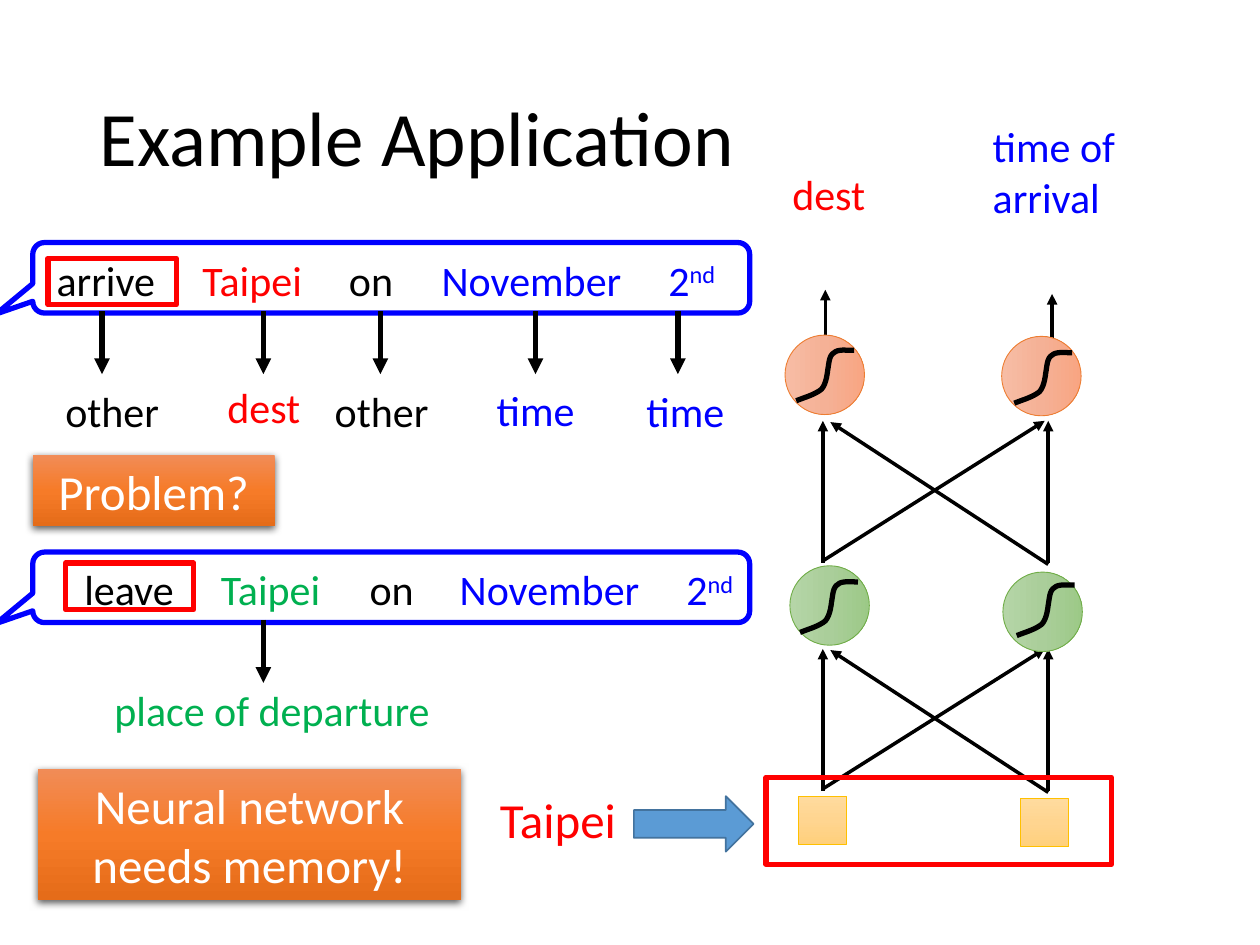
from copy import deepcopy

from lxml.etree import SubElement
from pptx import Presentation
from pptx.dml.color import RGBColor
from pptx.enum.shapes import MSO_CONNECTOR as Connector, MSO_SHAPE as Shape
from pptx.enum.text import MSO_ANCHOR as Anchor, MSO_AUTO_SIZE as AutoSize, PP_ALIGN as Align
from pptx.oxml.ns import qn
from pptx.util import Pt

FONT = "Calibri"
BLACK, WHITE, RED, BLUE, GREEN = "000000", "FFFFFF", "FF0000", "0000FF", "00B050"
ORANGE_BOX = ("F18C57", "F67B28", "E56C19")
INPUT_FILL = ("FFDB9E", "FFD590", "FFD07C")
HIDDEN_FILL = ("B5D5A7", "AACE9A", "9CC987")
OUTPUT_FILL = ("F7BDA5", "F5B196", "F8A582")
SIGMOID_START = (0, 28.8)
SIGMOID_CURVES = [
    ((5.8, 26.6), (10.8, 25.2), (14.4, 22.3)),
    ((17.3, 19.4), (18, 11.5), (18, 11.5)),
    ((18.7, 7.9), (18.7, 2.9), (21.6, 1.4)),
    ((23.8, -0.7), (28.1, 0), (33.1, 0)),
]


def rgb(color):
    return RGBColor.from_string(color)


def add_span(para, text, color=BLACK, size=24, raised=False):
    span = para.add_run()
    span.text = text
    span.font.name, span.font.size = FONT, Pt(size)
    span.font.color.rgb = rgb(color)
    if raised:
        span.font._element.set("baseline", "30000")


def add_text(slide, text, left, top, width, height, color=BLACK, size=24,
             align=Align.LEFT, wrap=True):
    box = slide.shapes.add_textbox(Pt(left), Pt(top), Pt(width), Pt(height))
    frame = box.text_frame
    frame.word_wrap = wrap
    frame.auto_size = AutoSize.SHAPE_TO_FIT_TEXT
    for index, line in enumerate(text.split("\n")):
        para = frame.paragraphs[0] if index == 0 else frame.add_paragraph()
        para.alignment = align
        if line:
            add_span(para, line, color, size)
    return box


def set_gradient(shape, colors):
    """Fill with three evenly spaced stops running from top to bottom."""
    shape.fill.gradient()
    shape.fill.gradient_angle = 270
    stop_list = shape._element.spPr.find(qn("a:gradFill")).find(qn("a:gsLst"))
    stop_list.append(deepcopy(stop_list[-1]))
    for stop, color, position in zip(shape.fill.gradient_stops, colors, (0, 0.5, 1)):
        stop.color.rgb = rgb(color)
        stop.position = position


def add_shape(slide, kind, left, top, width, height, fill=None, line=None, line_width=3):
    """Add a preset shape; fill is one colour, three gradient colours or None."""
    shape = slide.shapes.add_shape(kind, Pt(left), Pt(top), Pt(width), Pt(height))
    shape.shadow.inherit = False
    if fill is None:
        shape.fill.background()
    elif isinstance(fill, str):
        shape.fill.solid()
        shape.fill.fore_color.rgb = rgb(fill)
    else:
        set_gradient(shape, fill)
    if line:
        shape.line.color.rgb = rgb(line)
        shape.line.width = Pt(line_width)
    else:
        shape.line.fill.background()
    return shape


def add_banner(slide, text, left, top, width, height):
    """Add an orange box with a soft shadow and large white text."""
    box = add_shape(slide, Shape.RECTANGLE, left, top, width, height, ORANGE_BOX)
    effects = box._element.spPr.find(qn("a:effectLst"))
    shadow = SubElement(effects, qn("a:outerShdw"), blurRad=str(Pt(4.5)),
                        dist=str(Pt(1.5)), dir="5400000", rotWithShape="0")
    shade = SubElement(shadow, qn("a:srgbClr"), val=BLACK)
    SubElement(shade, qn("a:alpha"), val="63000")
    box.text_frame.word_wrap = True
    para = box.text_frame.paragraphs[0]
    para.alignment = Align.CENTER
    add_span(para, text, WHITE, 28)


def add_arrow(slide, x1, y1, x2, y2, width=2):
    arrow = slide.shapes.add_connector(Connector.STRAIGHT, Pt(x1), Pt(y1), Pt(x2), Pt(y2))
    arrow.line.color.rgb = rgb(BLACK)
    arrow.line.width = Pt(width)
    SubElement(arrow.line._get_or_add_ln(), qn("a:tailEnd"), type="triangle")
    SubElement(arrow._element.spPr, qn("a:effectLst"))


def sigmoid_points(steps=8):
    """Sample the chained Bezier curves of the activation symbol."""
    start = SIGMOID_START
    for first, second, end in SIGMOID_CURVES:
        for step in range(1, steps + 1):
            t = step / steps
            weights = ((1 - t) ** 3, 3 * t * (1 - t) ** 2, 3 * t * t * (1 - t), t ** 3)
            controls = (start, first, second, end)
            yield tuple(sum(w * c[axis] for w, c in zip(weights, controls)) for axis in (0, 1))
        start = end


def add_neuron(slide, left, top, fill, line, curve_left, curve_top):
    circle = add_shape(slide, Shape.OVAL, left, top, 45.4, 45.4, fill, line, 0.5)
    circle.rotation = 270
    x, y = SIGMOID_START
    builder = slide.shapes.build_freeform(Pt(curve_left + x), Pt(curve_top + y))
    builder.add_line_segments(
        [(Pt(curve_left + x), Pt(curve_top + y)) for x, y in sigmoid_points()], close=False)
    curve = builder.convert_to_shape()
    curve.shadow.inherit = False
    curve.fill.background()
    curve.line.color.rgb = rgb(BLACK)
    curve.line.width = Pt(3)


def add_weights(slide, top):
    """Connect two units to the two units above them."""
    left, right = 470.2, 599
    add_arrow(slide, right, top + 82, 474.5, top + 0.7)
    add_arrow(slide, left, top + 80, 597, top)
    for x in (left, right):
        add_arrow(slide, x, top + 81, x, top)


def add_sentence(slide, left, top, verb, city_color, tab_stops):
    """Add the words of a sentence, spaced by tab stops, inside a callout."""
    box = add_text(slide, "", left, top, 440, 36)
    box.text_frame.margin_left = Pt(43.2)
    para = box.text_frame.paragraphs[0]
    tabs = SubElement(para._p.get_or_add_pPr(), qn("a:tabLst"))
    for position in tab_stops:
        SubElement(tabs, qn("a:tab"), pos=str(Pt(position)), algn="l")
    add_span(para, verb + "\t")
    add_span(para, "Taipei\t", city_color)
    add_span(para, "on\t")
    add_span(para, "November\t2", BLUE)
    add_span(para, "nd", BLUE, raised=True)
    callout = add_shape(slide, Shape.ROUNDED_RECTANGULAR_CALLOUT,
                        18.7, top - 3.2, 409.7, 40.3, line=BLUE)
    for index, value in enumerate((-0.551, 0.512, 0.167)):
        callout.adjustments[index] = value


def add_title(slide, text):
    title = slide.shapes.title
    title.left, title.top, title.width, title.height = Pt(49.7), Pt(28.8), Pt(620.6), Pt(104.4)
    frame = title.text_frame
    frame.vertical_anchor = Anchor.MIDDLE
    frame.auto_size = AutoSize.NONE
    para = frame.paragraphs[0]
    para.alignment, para.line_spacing = Align.LEFT, 0.9
    add_span(para, text, size=44)


def add_network(slide):
    add_arrow(slide, 601.2, 219.6, 601.2, 168)
    add_arrow(slide, 471.6, 216.7, 471.6, 165.6)
    for left, top in ((456.5, 455), (583.2, 456.5)):
        add_shape(slide, Shape.RECTANGLE, left, top, 27.4, 27.4, INPUT_FILL, "FFC000", 0.5)
    for top in (370.8, 240.5):
        add_weights(slide, top)
    add_neuron(slide, 451.4, 323.3, HIDDEN_FILL, "70AD47", 457.2, 332.6)
    add_neuron(slide, 573.1, 326.9, HIDDEN_FILL, "70AD47", 581, 334.4)
    add_neuron(slide, 448.6, 191.5, OUTPUT_FILL, "ED7D31", 455, 200.2)
    add_neuron(slide, 572.4, 192.2, OUTPUT_FILL, "ED7D31", 579.6, 201.6)
    add_text(slide, "dest", 445.7, 92.9, 75, 36, RED)
    add_text(slide, "time of\narrival", 560.2, 65.5, 170.6, 65.5, BLUE)
    add_text(slide, "Taipei", 278.6, 447.8, 81.4, 41, RED, 28, wrap=False)
    add_shape(slide, Shape.RIGHT_ARROW, 362.2, 455, 68.4, 31.7, "5B9BD5", "43739E", 1)
    add_shape(slide, Shape.RECTANGLE, 437.8, 444.2, 197.3, 49.7, line=RED)


def main():
    deck = Presentation()
    deck.slide_width, deck.slide_height = Pt(720), Pt(540)
    slide = deck.slides.add_slide(deck.slide_layouts[5])
    add_title(slide, "Example Application")
    add_network(slide)

    add_sentence(slide, -10.8, 141.8, "arrive", RED, (83.3, 167, 220, 349.5))
    for x in (58.3, 150.5, 217.4, 306, 387.4):
        add_arrow(slide, x, 177.8, x, 213.8, 3)
    for text, left, top, width, color in (
            ("other", 27.4, 216.7, 73.4, BLACK), ("dest", 116.6, 214.6, 68.4, RED),
            ("other", 181.4, 216.7, 73.4, BLACK), ("time", 268.6, 216, 74.9, BLUE),
            ("time", 354.2, 216.7, 74.9, BLUE)):
        add_text(slide, text, left, top, width, 36, color, align=Align.CENTER)
    add_banner(slide, "Problem?", 18.7, 259.9, 138.2, 41)

    add_sentence(slide, 5, 318.7, "leave", GREEN, (78, 163, 214.5, 344))
    add_arrow(slide, 150.5, 354.2, 150.5, 390.2, 3)
    add_text(slide, "place of departure", 58.3, 387.4, 230.4, 36, GREEN)
    add_banner(slide, "Neural network needs memory!", 21.6, 439.2, 241.9, 74.9)
    for left, top in ((27.4, 147.6), (37.4, 321.8)):
        add_shape(slide, Shape.RECTANGLE, left, top, 73.4, 26.6, line=RED)
    deck.save("out.pptx")


if __name__ == "__main__":
    main()
